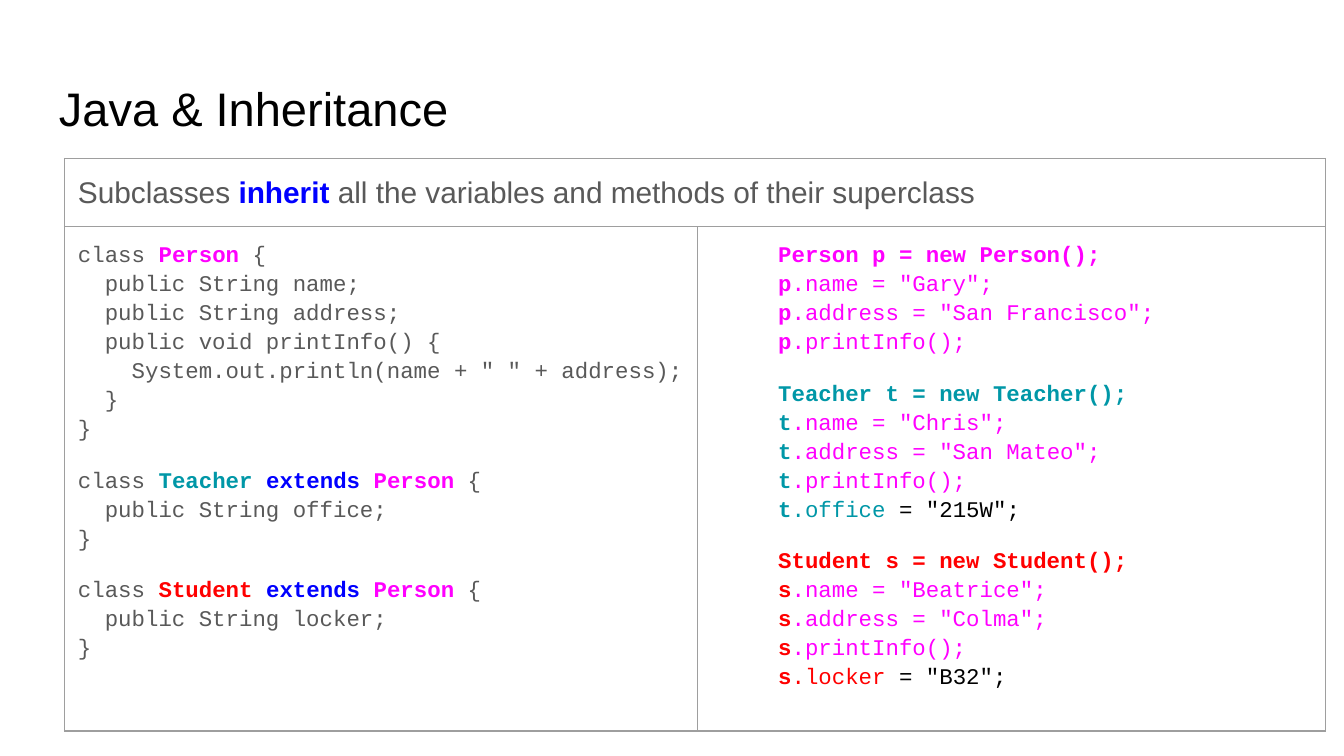
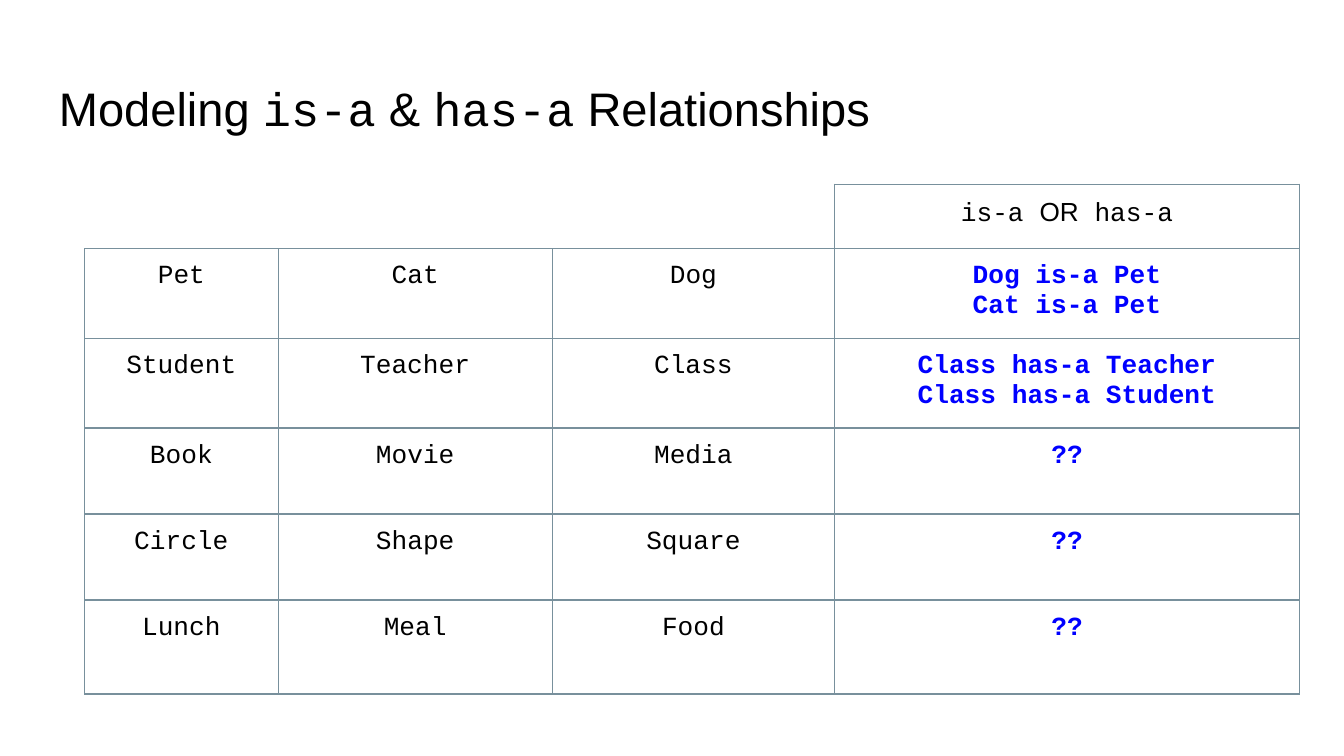
from copy import deepcopy
from dataclasses import dataclass

from lxml.etree import SubElement
from pptx import Presentation
from pptx.dml.color import RGBColor
from pptx.enum.text import MSO_ANCHOR, PP_ALIGN
from pptx.oxml.ns import qn
from pptx.util import Inches, Pt


@dataclass(frozen=True)
class Theme:
    sans: str = "Arial"
    mono: str = "Courier New"
    black: str = "000000"
    white: str = "FFFFFF"
    gray: str = "595959"
    blue: str = "0000FF"
    person: str = "FF00FF"
    teacher: str = "0097A7"
    student: str = "FF0000"
    code_border: str = "9E9E9E"
    grid_border: str = "78909C"
    title_size: float = 25.2
    lead_size: float = 16
    cell_size: float = 14
    code_size: float = 12
    border_width: float = 0.75
    inset: float = 0.1


T = Theme()


def add_text(p, text, font, size, color, bold=False):
    for i, line in enumerate(text.split("\n")):
        if i:
            p.add_line_break()
            br = p._p[-1]
            br.append(deepcopy(r._r.rPr))
        if not line:
            continue
        r = p.add_run()
        r.text = line
        r.font.name = font
        r.font.size = Pt(size)
        r.font.bold = bold
        r.font.color.rgb = RGBColor.from_string(color)


def set_insets(box):
    for side in ("left", "right", "top", "bottom"):
        setattr(box, f"margin_{side}", Inches(T.inset))


def add_title(s, parts):
    tf = s.shapes.add_textbox(Inches(0.34), Inches(0.49), Inches(9.32), Inches(0.63)).text_frame
    tf.word_wrap = True
    tf.vertical_anchor = MSO_ANCHOR.MIDDLE
    set_insets(tf)
    for text, font in parts:
        add_text(tf.paragraphs[0], text, font, T.title_size, T.black)


def set_borders(cell, left, right, top, bottom):
    tcPr = cell._tc.get_or_add_tcPr()
    for i, (side, color) in enumerate(zip("LRTB", (left, right, top, bottom))):
        for old in tcPr.findall(qn(f"a:ln{side}")):
            tcPr.remove(old)
        ln = SubElement(tcPr, qn(f"a:ln{side}"), w=str(Pt(T.border_width)))
        fill = SubElement(ln, qn("a:solidFill"))
        SubElement(fill, qn("a:srgbClr"), val=color)
        tcPr.insert(i, ln)


def add_table(s, left, top, widths, heights, border):
    table = s.shapes.add_table(len(heights), len(widths), Inches(left), Inches(top),
                               Inches(sum(widths)), Inches(sum(heights))).table
    table.first_row = table.horz_banding = False
    for col, width in zip(table.columns, widths):
        col.width = Inches(width)
    for row, height in zip(table.rows, heights):
        row.height = Inches(height)
    for cell in table.iter_cells():
        cell.fill.background()
        set_insets(cell)
        set_borders(cell, border, border, border, border)
    return table


def set_end_size(table, size):
    for cell in table.iter_cells():
        for p in cell.text_frame.paragraphs:
            end = SubElement(p._p, qn("a:endParaRPr"), sz=str(int(size * 100)))
            SubElement(end, qn("a:latin"), typeface=T.mono)


def fill_code(cell, blocks, indent=0):
    tf = cell.text_frame
    for i, block in enumerate(blocks):
        p = tf.add_paragraph() if i else tf.paragraphs[0]
        p.line_spacing = 1.15
        if i:
            p.space_before = Pt(12)
        if indent:
            p._p.get_or_add_pPr().set("marL", str(Inches(indent)))
        for text, color, bold in block:
            add_text(p, text, T.mono, T.code_size, color, bold)


def subclass_code(name, color, field):
    return [("class ", T.gray, False), (f"{name} ", color, True),
            ("extends ", T.blue, True), ("Person", T.person, True),
            (f" {{\n  public String {field};\n}}", T.gray, False)]


def object_code(cls, color, name, address, field=None, value=None):
    var = cls[0].lower()
    block = [(f"{cls} {var} = new {cls}();\n{var}", color, True),
             (f'.name = "{name}";\n', T.person, False), (var, color, True),
             (f'.address = "{address}";\n', T.person, False), (var, color, True),
             (".printInfo();" + ("\n" if field else ""), T.person, False)]
    if field:
        block += [(var, color, True), (f".{field}", color, False),
                  (f' = "{value}";', T.black, False)]
    return block


def inheritance_slide(s):
    add_title(s, [("Java & Inheritance", T.sans)])
    table = add_table(s, 0.48, 1.18, [4.71, 4.67], [0.48, 3.55], T.code_border)
    lead = table.cell(0, 0)
    lead.merge(table.cell(0, 1))
    p = lead.text_frame.paragraphs[0]
    p.line_spacing = 1.15
    for text, color, bold in [("Subclasses ", T.gray, False), ("inherit", T.blue, True),
                              (" all the variables and methods of their superclass", T.gray, False)]:
        add_text(p, text, T.sans, T.lead_size, color, bold)

    person_body = """ {
  public String name;
  public String address;
  public void printInfo() {
    System.out.println(name + " " + address);
  }
}"""
    fill_code(table.cell(1, 0), [
        [("class ", T.gray, False), ("Person", T.person, True), (person_body, T.gray, False)],
        subclass_code("Teacher", T.teacher, "office"),
        subclass_code("Student", T.student, "locker"),
    ])
    fill_code(table.cell(1, 1), [
        object_code("Person", T.person, "Gary", "San Francisco"),
        object_code("Teacher", T.teacher, "Chris", "San Mateo", "office", "215W"),
        object_code("Student", T.student, "Beatrice", "Colma", "locker", "B32"),
    ], indent=0.5)
    set_end_size(table, T.code_size)


def relationships_slide(s):
    add_title(s, [("Modeling ", T.sans), ("is-a", T.mono), (" & ", T.sans),
                  ("has-a", T.mono), (" Relationships", T.sans)])
    rows = [
        ("Pet", "Cat", "Dog", "Dog is-a Pet\nCat is-a Pet"),
        ("Student", "Teacher", "Class", "Class has-a Teacher\nClass has-a Student"),
        ("Book", "Movie", "Media", "??"),
        ("Circle", "Shape", "Square", "??"),
        ("Lunch", "Meal", "Food", "??"),
    ]
    table = add_table(s, 0.63, 1.37, [1.44, 2.04, 2.1, 3.46],
                      [0.48] + [0.64] * 4 + [0.7], T.grid_border)
    for j in range(3):
        right = T.grid_border if j == 2 else T.white
        set_borders(table.cell(0, j), T.white, right, T.white, T.grid_border)

    p = table.cell(0, 3).text_frame.paragraphs[0]
    p.alignment = PP_ALIGN.CENTER
    for text, font in [("is-a ", T.mono), ("OR", T.sans), (" has-a", T.mono)]:
        add_text(p, text, font, T.cell_size, T.black)
    for i, row in enumerate(rows, 1):
        for j, text in enumerate(row):
            answer = j == 3
            p = table.cell(i, j).text_frame.paragraphs[0]
            p.alignment = PP_ALIGN.CENTER
            add_text(p, text, T.mono, T.cell_size, T.blue if answer else T.black, answer)
    set_end_size(table, T.cell_size)


def main():
    prs = Presentation()
    prs.slide_width = Inches(10)
    prs.slide_height = prs.slide_width * 9 // 16
    for build in (inheritance_slide, relationships_slide):
        build(prs.slides.add_slide(prs.slide_layouts[6]))
    prs.save("out.pptx")


if __name__ == "__main__":
    main()
